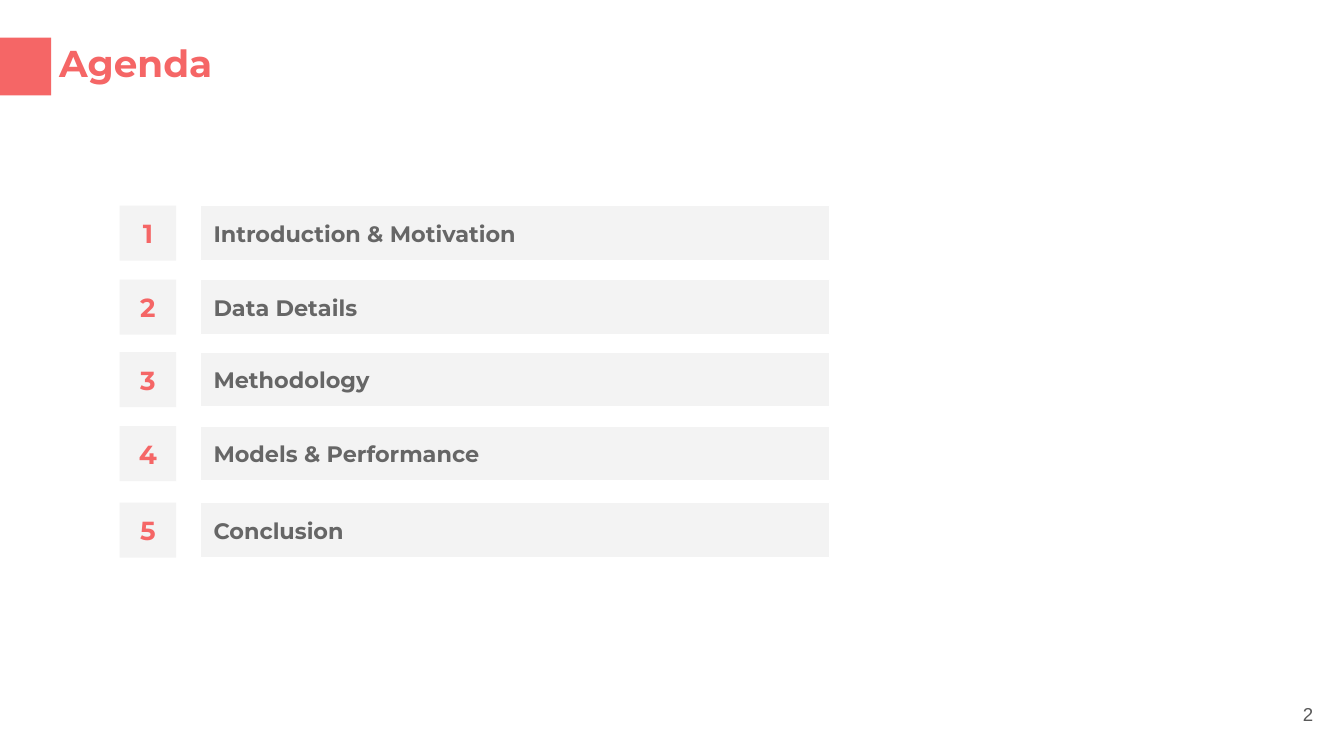
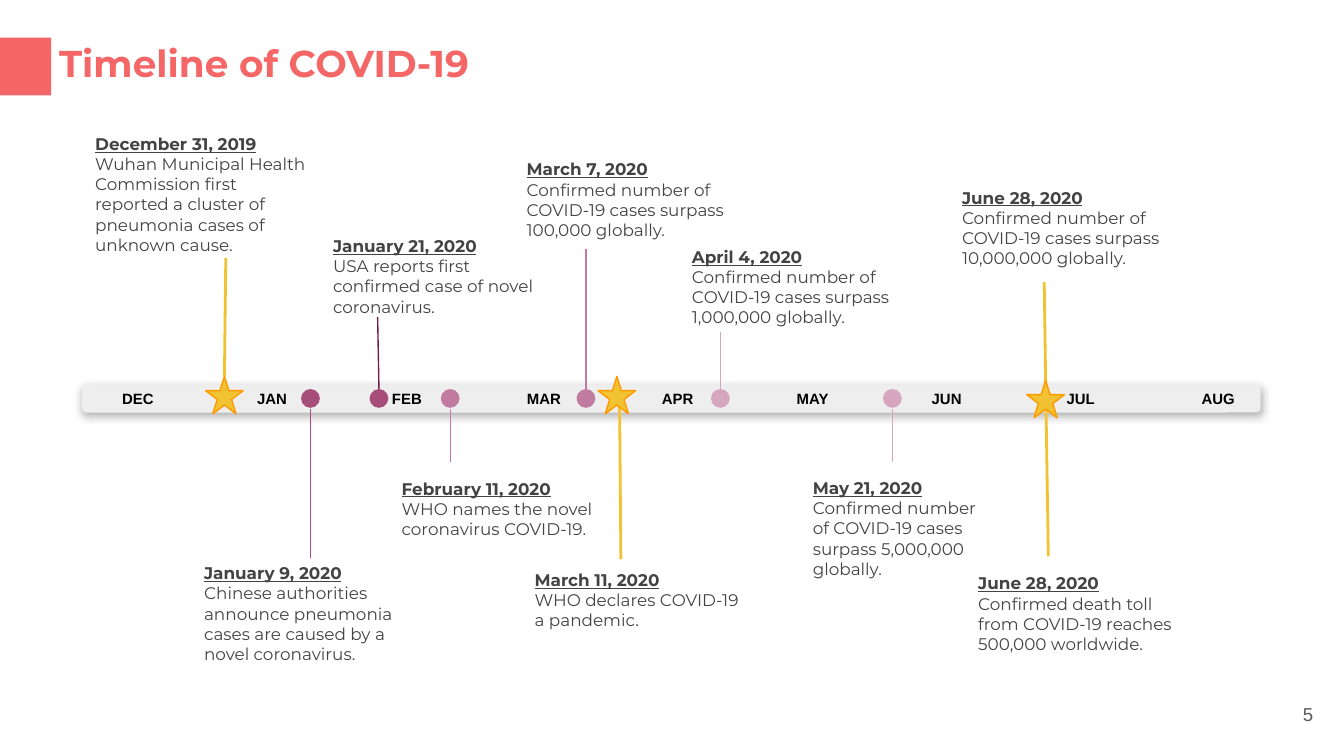
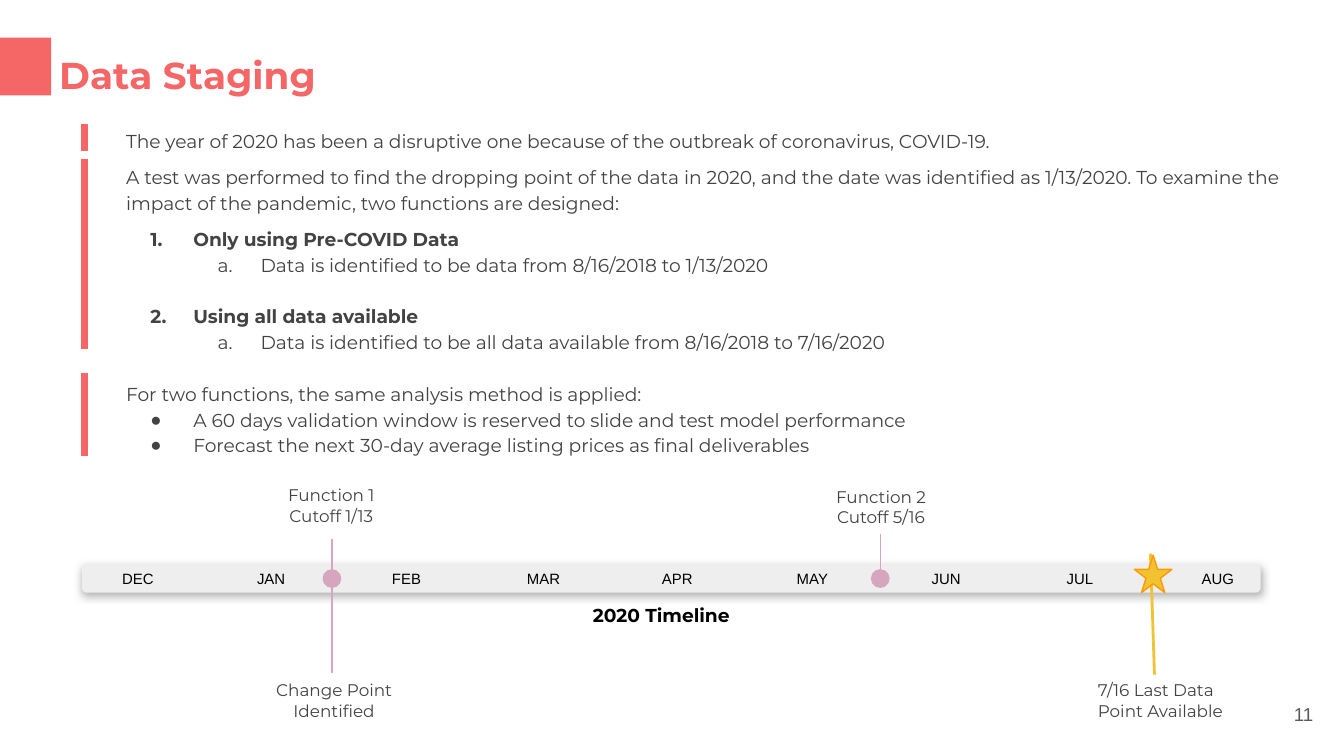
from lxml import etree
from pptx import Presentation
from pptx import util as u
from pptx.dml.color import RGBColor
from pptx.enum import shapes, text
from pptx.oxml.ns import qn

PX = 9144
WIDE, HIGH = 1000, 562.5
SHAPE = shapes.MSO_SHAPE
MID = text.MSO_ANCHOR.MIDDLE
TOP = text.MSO_ANCHOR.TOP
LEFT, MIDDLE, RIGHT = text.PP_ALIGN.LEFT, text.PP_ALIGN.CENTER, text.PP_ALIGN.RIGHT
SANS, ARIAL = "Montserrat", "Arial"
CORAL, WHITE, PALE, BAR = "F56666", "FFFFFF", "F3F3F3", "EEEEEE"
INK, GREY, FOOT, BLACK = "434343", "666666", "595959", "000000"
GOLD, AMBER = "F1C232", "FF9900"
WINE, PLUM, MAUVE, ROSE = "741B47", "A64D79", "C27BA0", "D5A6BD"

MONTHS = ["DEC", "JAN", "FEB", "MAR", "APR", "MAY", "JUN", "JUL", "AUG"]

AGENDA = [
    (153, "Introduction & Motivation"),
    (208, "Data Details"),
    (262, "Methodology"),
    (317, "Models & Performance"),
    (374, "Conclusion"),
]

EVENTS = [
    (61, 103, 178, 83, "December 31, 2019",
     "Wuhan Municipal Health Commission first reported a cluster of pneumonia cases of unknown cause."),
    (142, 415, 178, 83, "January 9, 2020",
     "Chinese authorities announce pneumonia cases are caused by a novel coronavirus."),
    (238, 164, 178, 83, "January 21, 2020",
     "USA reports first confirmed case of novel coronavirus."),
    (289, 347, 178, 63, "February 11, 2020",
     "WHO names the novel coronavirus COVID-19."),
    (382, 117, 178, 63, "March 7, 2020",
     "Confirmed number of COVID-19 cases surpass 100,000 globally."),
    (388, 415, 178, 63, "March 11, 2020",
     "WHO declares COVID-19 a pandemic."),
    (505, 182, 178, 63, "April 4, 2020",
     "Confirmed number of COVID-19 cases surpass 1,000,000 globally."),
    (595, 349, 156, 88, "May 21, 2020",
     "Confirmed number of COVID-19 cases surpass 5,000,000 globally."),
    (706, 138, 178, 63, "June 28, 2020",
     "Confirmed number of COVID-19 cases surpass 10,000,000 globally."),
    (718, 415, 178, 83, "June 28, 2020",
     "Confirmed death toll from COVID-19 reaches 500,000 worldwide."),
]
EVENT_DOTS = [(224, PLUM), (275, PLUM), (328, MAUVE), (429, MAUVE), (529, ROSE), (657, ROSE)]
EVENT_STARS = [(153, 280), (445, 280), (764, 283)]
EVENT_PINS = [
    (167, 280, 168, 192, GOLD),
    (231, 304, 231, 415, PLUM),
    (282, 290, 281, 236, WINE),
    (335, 304, 335, 344, MAUVE),
    (436, 290, 436, 185, MAUVE),
    (461, 298, 462, 416, GOLD),
    (536, 290, 536, 247, ROSE),
    (664, 304, 664, 344, ROSE),
    (778, 283, 777, 210, GOLD),
    (778, 283, 780, 414, GOLD),
]

STEPS = [
    ("", 0, "The year of 2020 has been a disruptive one because of the outbreak of coronavirus, COVID-19."),
    ("", 5.6, "A test was performed to find the dropping point of the data in 2020, and the date was "
     "identified as 1/13/2020. To examine the impact of the pandemic, two functions are designed:"),
    ("1", 5.6, "Only using Pre-COVID Data"),
    ("a", 0, "Data is identified to be data from 8/16/2018 to 1/13/2020"),
    ("2", 13.7, "Using all data available"),
    ("a", 0, "Data is identified to be all data available from 8/16/2018 to 7/16/2020"),
    ("", 14, "For two functions, the same analysis method is applied:"),
    ("●", 0, "A 60 days validation window is reserved to slide and test model performance"),
    ("●", 0, "Forecast the next 30-day average listing prices as final deliverables"),
]
MARKS = [(92, 21), (118, 142), (277, 63)]
CUT_DOTS = [(240, ROSE), (648, ROSE)]
CUT_STARS = [(844, 413)]
CUT_PINS = [
    (247, 437, 247, 501, ROSE),
    (247, 401, 247, 439, ROSE),
    (655, 397, 655, 431, ROSE),
    (856, 412, 859, 502, GOLD),
]
CUTS = [
    (171, 351, 151, 63, MIDDLE, ["Function 1", "Cutoff 1/13"]),
    (580, 352, 151, 45, MIDDLE, ["Function 2", "Cutoff 5/16"]),
    (173, 496, 151, 63, MIDDLE, ["Change Point", "Identified"]),
    (807, 496, 151, 63, LEFT, ["7/16 Last Data", "Point Available"]),
]


def px(*nums):
    return [round(n * PX) for n in nums]


def hue(code):
    return RGBColor.from_string(code)


def sub(node, tag, **atts):
    return etree.SubElement(node, qn(tag), {k: str(v) for k, v in atts.items()})


def put(shape, lines, size, tone, bold=False, face=SANS, side=LEFT, hold=TOP):
    frame = shape.text_frame
    frame.text = "\n".join(lines)
    frame.word_wrap = True
    frame.auto_size = text.MSO_AUTO_SIZE.NONE
    frame.vertical_anchor = hold
    frame.margin_left = frame.margin_right = frame.margin_top = frame.margin_bottom = px(10)[0]
    for para in frame.paragraphs:
        para.alignment = side
        for run in para.runs:
            font = run.font
            font.name, font.size, font.bold = face, u.Pt(size), bold
            font.color.rgb = hue(tone)
    return frame.paragraphs


def note(slide, at, lines, size, tone, **style):
    return put(slide.shapes.add_textbox(*px(*at)), lines, size, tone, **style)


def block(slide, kind, at, fill, line=None):
    shape = slide.shapes.add_shape(kind, *px(*at))
    shape.shadow.inherit = False
    shape.fill.solid()
    shape.fill.fore_color.rgb = hue(fill)
    if line:
        shape.line.color.rgb = hue(line)
        shape.line.width = u.Pt(0.75)
    else:
        shape.line.fill.background()
    return shape


def pin(slide, x1, y1, x2, y2, tone):
    line = slide.shapes.add_connector(shapes.MSO_CONNECTOR.STRAIGHT, *px(x1, y1, x2, y2))
    line.line.color.rgb = hue(tone)
    line.line.width = u.Pt(1.5 if tone == GOLD else 0.75)
    sub(line.element.spPr, "a:effectLst")


def band(deck, layout):
    slide = deck.slides[0]
    shape = block(slide, SHAPE.RECTANGLE, (0, 28, 38, 43), CORAL)
    shape.element.nvSpPr.cNvPr.set("id", "99")
    layout.shapes.element.insert(2, shape.element)


def page(deck, layout, name, number, top=20, space=1.0):
    slide = deck.slides.add_slide(layout)
    title = slide.shapes.title
    title.left, title.top, title.width, title.height = px(34, top, 932, 63)
    put(title, [name], 20, CORAL, bold=True)[0].line_spacing = space
    note(slide, (927, 510, 60, 43), [number], 10, FOOT, face=ARIAL, side=RIGHT, hold=MID)
    return slide


def axis(slide, top, bold, dots, stars, pins):
    bar = block(slide, SHAPE.ROUNDED_RECTANGLE, (61, top, 877, 21), BAR)
    bar.adjustments[0] = 0.167
    glow = sub(bar.element.spPr.find(qn("a:effectLst")), "a:outerShdw", blurRad=u.Pt(4.5),
               dist=u.Pt(1.5), dir=5400000, algn="bl", rotWithShape=0)
    sub(sub(glow, "a:srgbClr", val=GREY), "a:alpha", val=50000)
    for i, month in enumerate(MONTHS):
        note(slide, (81 + 100.4 * i, top, 47, 21), [month], 8, BLACK,
             bold=bold, face=ARIAL, hold=MID)
    for spot in pins:
        pin(slide, *spot)
    for x, tone in dots:
        block(slide, SHAPE.OVAL, (x, top + 3.5, 14, 14), tone)
    for x, y in stars:
        block(slide, SHAPE.STAR_5_POINT, (x, y, 28, 28), GOLD, AMBER)


def bullet(para, mark):
    props = para._p.get_or_add_pPr()
    left = 150 if mark == "a" else 100 if mark else 50
    props.set("marL", str(px(left)[0]))
    props.set("indent", str(px(-32 if mark else 0)[0]))
    if not mark:
        return
    sub(sub(props, "a:buClr"), "a:srgbClr", val=INK)
    sub(props, "a:buFont", typeface=ARIAL if mark == "●" else SANS)
    if mark == "●":
        sub(props, "a:buChar", char=mark)
    elif mark == "a":
        props.set("lvl", "1")
        sub(props, "a:buAutoNum", type="alphaLcPeriod")
    else:
        sub(props, "a:buAutoNum", type="arabicPeriod", startAt=mark)


def agenda(deck, layout):
    slide = page(deck, layout, "Agenda", "2")
    for i, (y, topic) in enumerate(AGENDA, 1):
        tile = block(slide, SHAPE.RECTANGLE, (89, y, 42, 41), PALE)
        put(tile, [str(i)], 14, CORAL, bold=True, side=MIDDLE, hold=MID)
        row = block(slide, SHAPE.RECTANGLE, (149, y, 468, 41), PALE, WHITE)
        put(row, [topic], 12, GREY, bold=True, hold=MID)


def timeline(deck, layout):
    slide = page(deck, layout, "Timeline of COVID-19", "5")
    axis(slide, 286, True, EVENT_DOTS, EVENT_STARS, EVENT_PINS)
    for *at, date, fact in EVENTS:
        head = note(slide, at, [date, fact], 9, INK, hold=MID)[0]
        head.runs[0].font.bold = head.runs[0].font.underline = True


def staging(deck, layout):
    slide = page(deck, layout, "Data Staging", "11", top=24, space=1.15)
    paras = note(slide, (34, 84, 932, 226), [step[2] for step in STEPS], 10, INK)
    for para, (mark, gap, _) in zip(paras, STEPS):
        bullet(para, mark)
        para.line_spacing = 1.15
        if gap:
            para.space_before = u.Pt(gap)
        para.runs[0].font.bold = mark.isdigit()
    for y, high in MARKS:
        block(slide, SHAPE.RECTANGLE, (60, y, 6, high), CORAL, WHITE)
    axis(slide, 420, False, CUT_DOTS, CUT_STARS, CUT_PINS)
    note(slide, (411, 439, 162, 52), ["2020 Timeline"], 10, BLACK, bold=True, side=MIDDLE)
    for *at, side, lines in CUTS:
        note(slide, at, lines, 9, INK, side=side)


def main():
    deck = Presentation()
    deck.slide_width, deck.slide_height = px(WIDE, HIGH)
    layout = deck.slide_layouts[5]
    for build in (agenda, timeline, staging):
        build(deck, layout)
    band(deck, layout)
    deck.save("out.pptx")


if __name__ == "__main__":
    main()
